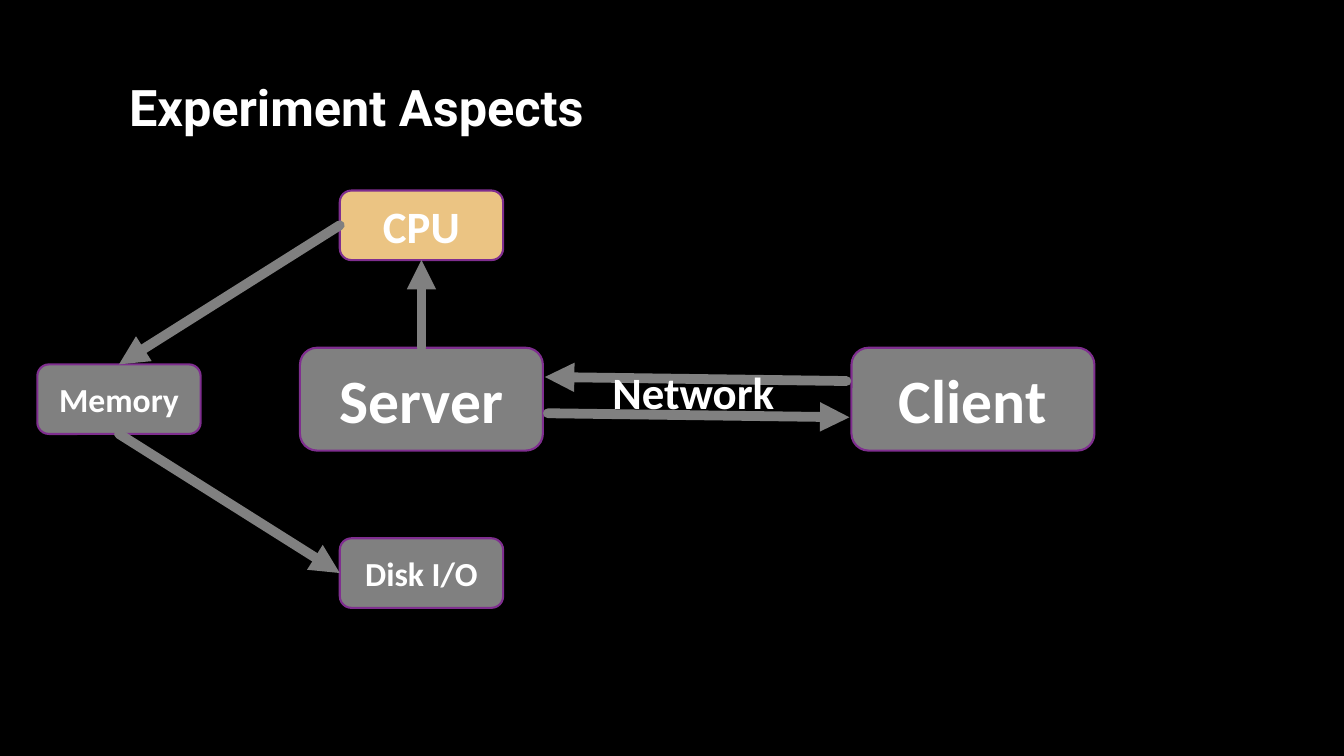
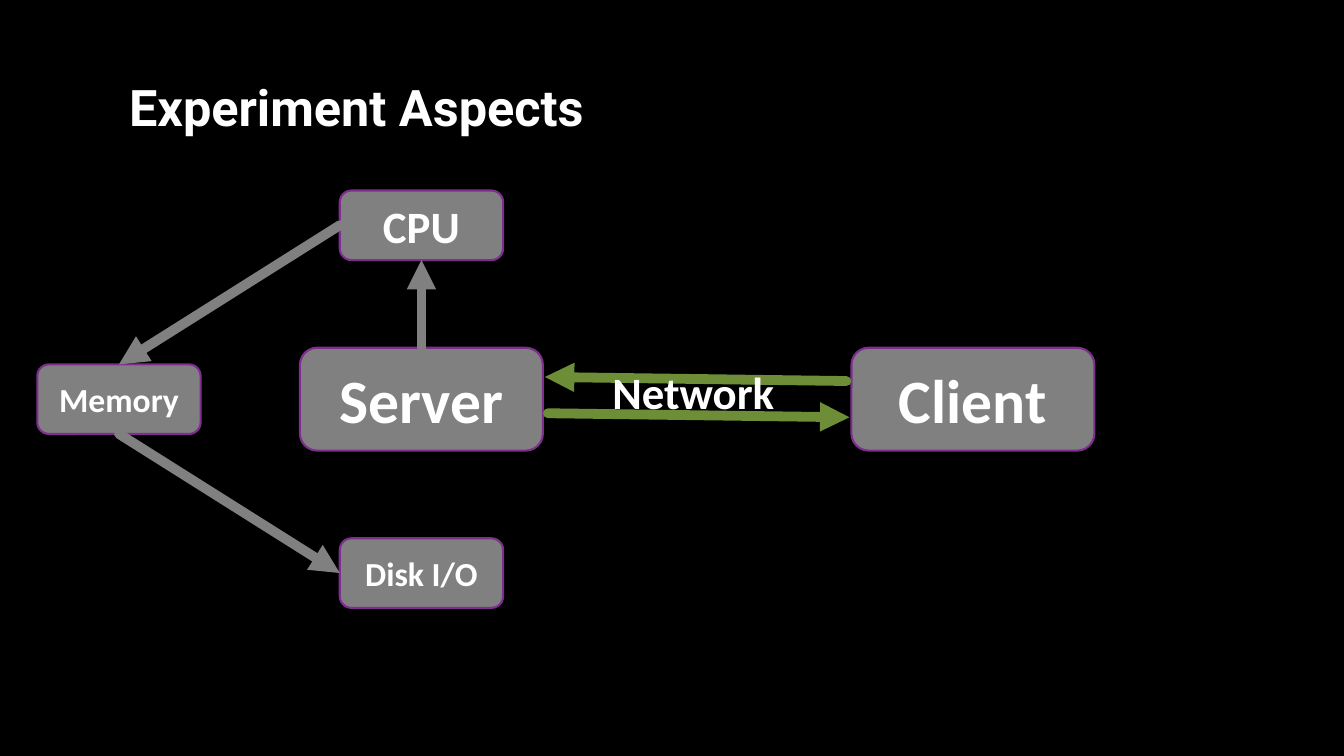
from pptx import Presentation
from pptx import util as u
from pptx.dml.color import RGBColor
from pptx.enum import shapes, text
from pptx.oxml import ns, xmlchemy

COLORS = {"back": "000000", "text": "FFFFFF", "node": "808080", "edge": "7F2E8F",
          "arrow": "808080", "cpu": "EBC483", "network": "6D8E37"}
TITLE_BOX = (1.18, 0.7, 5.23, 0.71)
DIAGRAM_BOX = (0.37, 1.89, 10.49, 4.14)

# Node sizes, and column centres from the left of the diagram
LARGE, SMALL = (2.41, 1.02), (1.62, 0.69)
COLUMNS = (0.81, 3.81, 9.28)
# name: column, row, size, font size
NODES = {"Client": (2, 1, LARGE, 44), "Server": (1, 1, LARGE, 44),
         "Memory": (0, 1, SMALL, 24), "Disk I/O": (1, 2, SMALL, 24),
         "CPU": (1, 0, SMALL, 32)}
# start node, site, end node, site
TOP, LEFT, BOTTOM = 0, 1, 2
LINKS = [("Server", TOP, "CPU", BOTTOM), ("CPU", LEFT, "Memory", TOP),
         ("Memory", BOTTOM, "Disk I/O", LEFT)]


def rgb(name):
    return RGBColor.from_string(COLORS[name])


def inches(*values):
    return [u.Inches(v) for v in values]


def write(tf, words, size, font="Calibri", **layout):
    for name, value in layout.items():
        setattr(tf, name, value)
    p = tf.paragraphs[0]
    r = p.add_run()
    r.text = words
    style = {"name": font, "size": u.Pt(size), "bold": True}
    for name, value in style.items():
        setattr(r.font, name, value)
    r.font.color.rgb = rgb("text")
    return p


def add_title(s, box, words):
    sp = s.shapes.title
    sp.left, sp.top, sp.width, sp.height = inches(*box)
    p = write(sp.text_frame, words, 36, "Roboto", word_wrap=False,
              auto_size=text.MSO_AUTO_SIZE.SHAPE_TO_FIT_TEXT,
              vertical_anchor=text.MSO_ANCHOR.TOP)
    p.alignment = text.PP_ALIGN.LEFT


def add_node(s, center, size, words, font_size, fill):
    (x, y), (w, h) = center, size
    sp = s.shapes.add_shape(shapes.MSO_SHAPE.ROUNDED_RECTANGLE,
                            *inches(x - w / 2, y - h / 2, w, h))
    sp.shadow.inherit = False
    sp.fill.solid()
    sp.fill.fore_color.rgb = rgb(fill)
    sp.line.color.rgb = rgb("edge")
    sp.line.width = u.Pt(1.5)
    p = write(sp.text_frame, words, font_size,
              vertical_anchor=text.MSO_ANCHOR.MIDDLE)
    p.alignment = text.PP_ALIGN.CENTER
    return sp


def add_arrow(s, color, start=(0, 0), end=(0, 0)):
    line = s.shapes.add_connector(shapes.MSO_CONNECTOR.STRAIGHT,
                                  *inches(*start, *end))
    line.line.color.rgb = rgb(color)
    line.line.width = u.Pt(7)
    # Round cap, arrowhead and no shadow
    props = line._element.spPr
    ln = props.find(ns.qn("a:ln"))
    ln.set("cap", "rnd")
    head = xmlchemy.OxmlElement("a:tailEnd")
    head.set("type", "triangle")
    ln.append(head)
    props.append(xmlchemy.OxmlElement("a:effectLst"))
    return line


def add_network(s, center, color):
    x, y = center
    # The two arrows mirror each other through the centre
    for side in (1, -1):
        add_arrow(s, color, (x + side * 1.48, y - side * 0.16),
                  (x - side * 1.51, y - side * 0.2))
    sp = s.shapes.add_textbox(*inches(x - 0.94, y - 0.37, 1.83, 0.64))
    write(sp.text_frame, "Network", 32, word_wrap=False,
          auto_size=text.MSO_AUTO_SIZE.SHAPE_TO_FIT_TEXT)


def add_diagram(s, box, cpu, network):
    left, top, width, height = box
    row_step = (height - SMALL[1]) / 2
    centers, nodes = {}, {}
    for name, (col, row, size, font_size) in NODES.items():
        centers[name] = (left + COLUMNS[col], top + SMALL[1] / 2 + row * row_step)
        fill = cpu if name == "CPU" else "node"
        nodes[name] = add_node(s, centers[name], size, name, font_size, fill)
    for start, start_site, end, end_site in LINKS:
        line = add_arrow(s, "arrow")
        line.begin_connect(nodes[start], start_site)
        line.end_connect(nodes[end], end_site)
    middle = (centers["Server"][0] + centers["Client"][0]) / 2
    add_network(s, (middle, centers["Server"][1] - 0.02), network)


def add_aspect_slide(prs, cpu="node", network="arrow"):
    s = prs.slides.add_slide(prs.slide_layouts[5])
    add_title(s, TITLE_BOX, "Experiment Aspects")
    add_diagram(s, DIAGRAM_BOX, cpu, network)


def main():
    prs = Presentation()
    prs.slide_width, prs.slide_height = inches(13.33, 7.5)
    back = prs.slide_master.background.fill
    back.solid()
    back.fore_color.rgb = rgb("back")
    # Each slide highlights one aspect
    add_aspect_slide(prs, cpu="cpu")
    add_aspect_slide(prs, network="network")
    prs.save("out.pptx")


if __name__ == "__main__":
    main()
